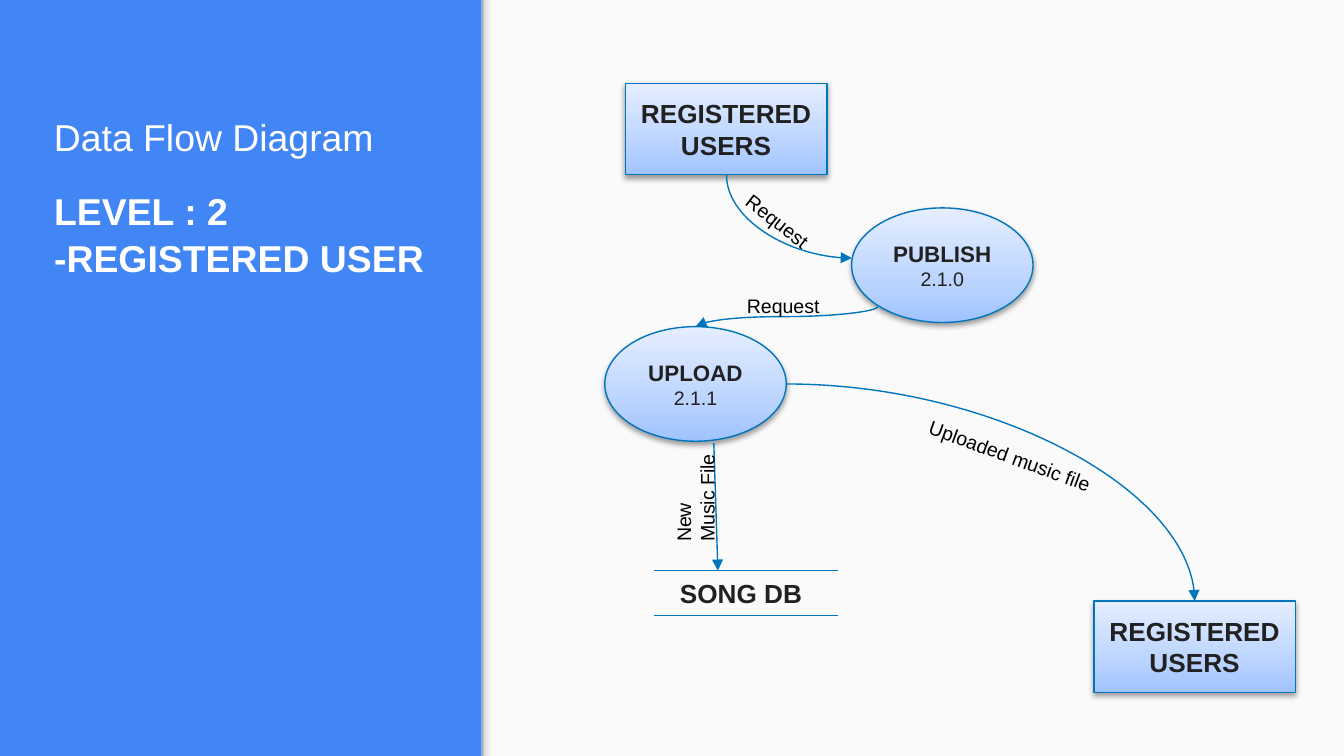
from dataclasses import dataclass

from lxml.etree import SubElement
from pptx import Presentation
from pptx.dml.color import RGBColor
from pptx.enum.shapes import MSO_CONNECTOR, MSO_SHAPE
from pptx.enum.text import MSO_ANCHOR, MSO_AUTO_SIZE, PP_ALIGN
from pptx.oxml.ns import qn
from pptx.util import Pt


@dataclass(frozen=True)
class Theme:
    font: str = "Arial"
    sidebar: str = "4285F4"
    panel: str = "FAFAFA"
    line: str = "0075BB"
    dark: str = "212121"
    black: str = "000000"
    white: str = "FFFFFF"
    node_stops: tuple = ((0, "9FC3FF"), (35, "BBD4FF"), (100, "E5EEFF"))
    edge_stops: tuple = ((0, "999999"), (20, "DEDEDE"), (64, "F9F9F9"), (100, "F9F9F9"))
    heading: float = 20
    entity: float = 14
    process: float = 12
    label: float = 10.5
    line_width: float = 0.75


THEME = Theme()
ENTITY_SIZE = (108, 49)
PROCESS_SIZE = (97.2, 61.4)


def points(*values):
    return [Pt(value) for value in values]


def format_paragraph(paragraph, size, color, bold=False):
    for run in paragraph.runs:
        run.font.name = THEME.font
        run.font.size = Pt(size)
        run.font.bold = bold
        run.font.color.rgb = RGBColor.from_string(color)


def fill_gradient(shape, stops, angle):
    shape.fill.gradient()
    shape.fill.gradient_angle = angle
    stop_list = shape._element.spPr.find(".//" + qn("a:gsLst"))
    for stop in list(stop_list):
        stop_list.remove(stop)
    for position, color in stops:
        stop = SubElement(stop_list, qn("a:gs"), pos=str(position * 1000))
        SubElement(stop, qn("a:srgbClr"), val=color)


def add_shadow(shape):
    effects = shape._element.spPr.find(qn("a:effectLst"))
    shadow = SubElement(effects, qn("a:outerShdw"), blurRad=str(Pt(3.1)),
                        dist=str(Pt(1.6)), dir="5400000", rotWithShape="0")
    color = SubElement(shadow, qn("a:srgbClr"), val=THEME.black)
    SubElement(color, qn("a:alpha"), val="38000")


def add_plain_shape(slide, kind, box):
    shape = slide.shapes.add_shape(kind, *points(*box))
    shape.shadow.inherit = False
    shape.line.fill.background()
    return shape


def add_background(slide):
    slide.background.fill.solid()
    slide.background.fill.fore_color.rgb = RGBColor.from_string(THEME.sidebar)
    panel = add_plain_shape(slide, MSO_SHAPE.RECTANGLE, (258, 0, 462, 405))
    panel.fill.solid()
    panel.fill.fore_color.rgb = RGBColor.from_string(THEME.panel)
    edge = add_plain_shape(slide, MSO_SHAPE.RECTANGLE, (258, 0, 8.6, 405))
    fill_gradient(edge, THEME.edge_stops, 0)


def add_title(slide, text):
    title = slide.shapes.title
    title.left, title.top, title.width, title.height = points(21.8, 82, 221, 75)
    frame = title.text_frame
    frame.word_wrap = True
    frame.auto_size = MSO_AUTO_SIZE.NONE
    frame.vertical_anchor = MSO_ANCHOR.BOTTOM
    frame.margin_left = frame.margin_right = Pt(7.2)
    frame.margin_top = frame.margin_bottom = Pt(7.2)
    frame.text = text
    paragraph = frame.paragraphs[0]
    paragraph.alignment = PP_ALIGN.LEFT
    paragraph.line_spacing = 1.05
    format_paragraph(paragraph, THEME.heading, THEME.white, True)


def add_node(slide, kind, position, size, lines):
    node = add_plain_shape(slide, kind, (*position, *size))
    fill_gradient(node, THEME.node_stops, 90)
    node.line.color.rgb = RGBColor.from_string(THEME.line)
    node.line.width = Pt(THEME.line_width)
    add_shadow(node)
    frame = node.text_frame
    frame.word_wrap = True
    frame.vertical_anchor = MSO_ANCHOR.MIDDLE
    frame.text = "\n".join(text for text, _, _ in lines)
    for paragraph, (_, text_size, bold) in zip(frame.paragraphs, lines):
        paragraph.alignment = PP_ALIGN.CENTER
        format_paragraph(paragraph, text_size, THEME.dark, bold)


def add_entity(slide, position):
    add_node(slide, MSO_SHAPE.RECTANGLE, position, ENTITY_SIZE,
             [("REGISTERED USERS", THEME.entity, True)])


def add_process(slide, position, name, number):
    add_node(slide, MSO_SHAPE.OVAL, position, PROCESS_SIZE,
             [(name, THEME.process, True), (number, THEME.label, False)])


def add_line(slide, start, end, kind=MSO_CONNECTOR.STRAIGHT, arrow=False):
    connector = slide.shapes.add_connector(kind, *points(*start, *end))
    connector.line.color.rgb = RGBColor.from_string(THEME.line)
    connector.line.width = Pt(THEME.line_width)
    properties = connector._element.spPr
    if arrow:
        SubElement(properties.find(qn("a:ln")), qn("a:tailEnd"), type="triangle")
    SubElement(properties, qn("a:effectLst"))
    return connector


def add_curve(slide, start, end, preset, rotation=0, flip=False):
    if rotation:
        center_x, center_y = (start[0] + end[0]) / 2, (start[1] + end[1]) / 2
        half_width, half_height = abs(end[1] - start[1]) / 2, abs(end[0] - start[0]) / 2
        start = center_x - half_width, center_y - half_height
        end = center_x + half_width, center_y + half_height
    connector = add_line(slide, start, end, MSO_CONNECTOR.CURVE, True)
    properties = connector._element.spPr
    properties.find(qn("a:prstGeom")).set("prst", preset)
    transform = properties.find(qn("a:xfrm"))
    if rotation:
        transform.set("rot", str(rotation * 60000))
    if flip:
        transform.set("flipH", "1")


def add_label(slide, box, text, size=THEME.label, color=THEME.black,
              bold=False, rotation=0, wrap=False):
    label = slide.shapes.add_textbox(*points(*box))
    label.rotation = rotation
    frame = label.text_frame
    frame.word_wrap = wrap
    frame.auto_size = MSO_AUTO_SIZE.SHAPE_TO_FIT_TEXT
    frame.text = text
    for paragraph in frame.paragraphs:
        format_paragraph(paragraph, size, color, bold)


def main():
    presentation = Presentation()
    presentation.slide_width, presentation.slide_height = points(720, 405)
    slide = presentation.slides.add_slide(presentation.slide_layouts[5])

    add_background(slide)
    add_title(slide, "LEVEL : 2\v-REGISTERED USER")
    add_label(slide, (21.8, 57.8, 187, 31.5), "Data Flow Diagram",
              THEME.heading, THEME.white)

    for position in ((335, 44.6), (586, 322)):
        add_entity(slide, position)
    add_process(slide, (456.2, 111.4), "PUBLISH", "2.1.0")
    add_process(slide, (324, 175), "UPLOAD", "2.1.1")

    for top in (305.7, 329.7):
        add_line(slide, (350.5, top), (448.8, top))
    add_line(slide, (382.4, 237.4), (384.6, 305.7), arrow=True)
    add_curve(slide, (389.2, 93.9), (456.3, 138.3), "curvedConnector2", 270, True)
    add_curve(slide, (421.2, 205.7), (640, 322), "curvedConnector2")
    add_curve(slide, (470.2, 164.2), (372.6, 175), "curvedConnector3", 90)

    add_label(slide, (389.5, 109.4, 56, 20.6), "Request", rotation=37.8)
    add_label(slide, (393.1, 154.1, 100, 20.6), "Request", wrap=True)
    add_label(slide, (488.2, 234.7, 108, 20.3), "Uploaded music file",
              rotation=20.1, wrap=True)
    add_label(slide, (341.3, 249.8, 62.6, 32.6), "New\nMusic File", rotation=270)
    add_label(slide, (357.1, 306, 80.6, 24.2), "SONG DB",
              THEME.entity, THEME.dark, True)

    presentation.save("out.pptx")


main()
